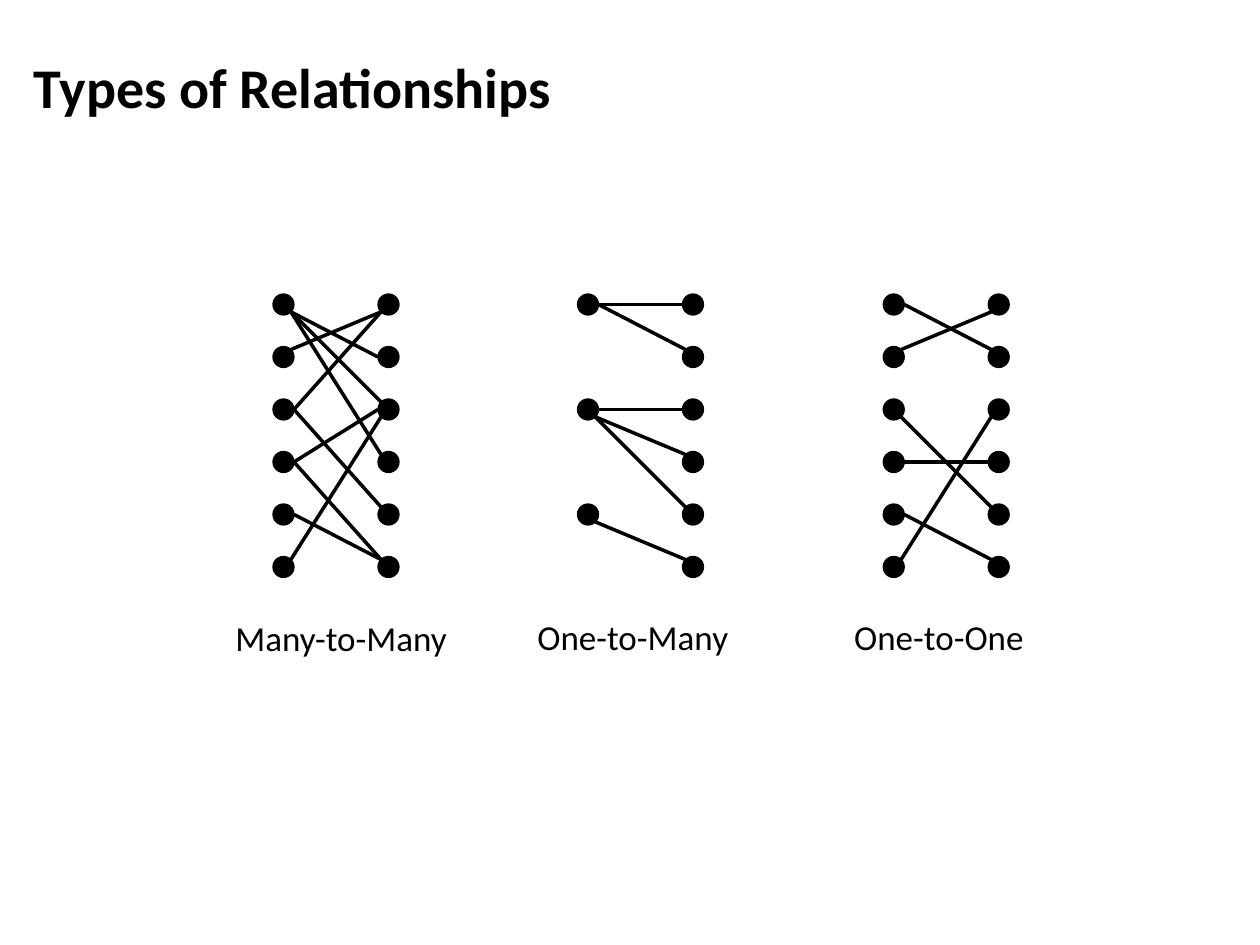
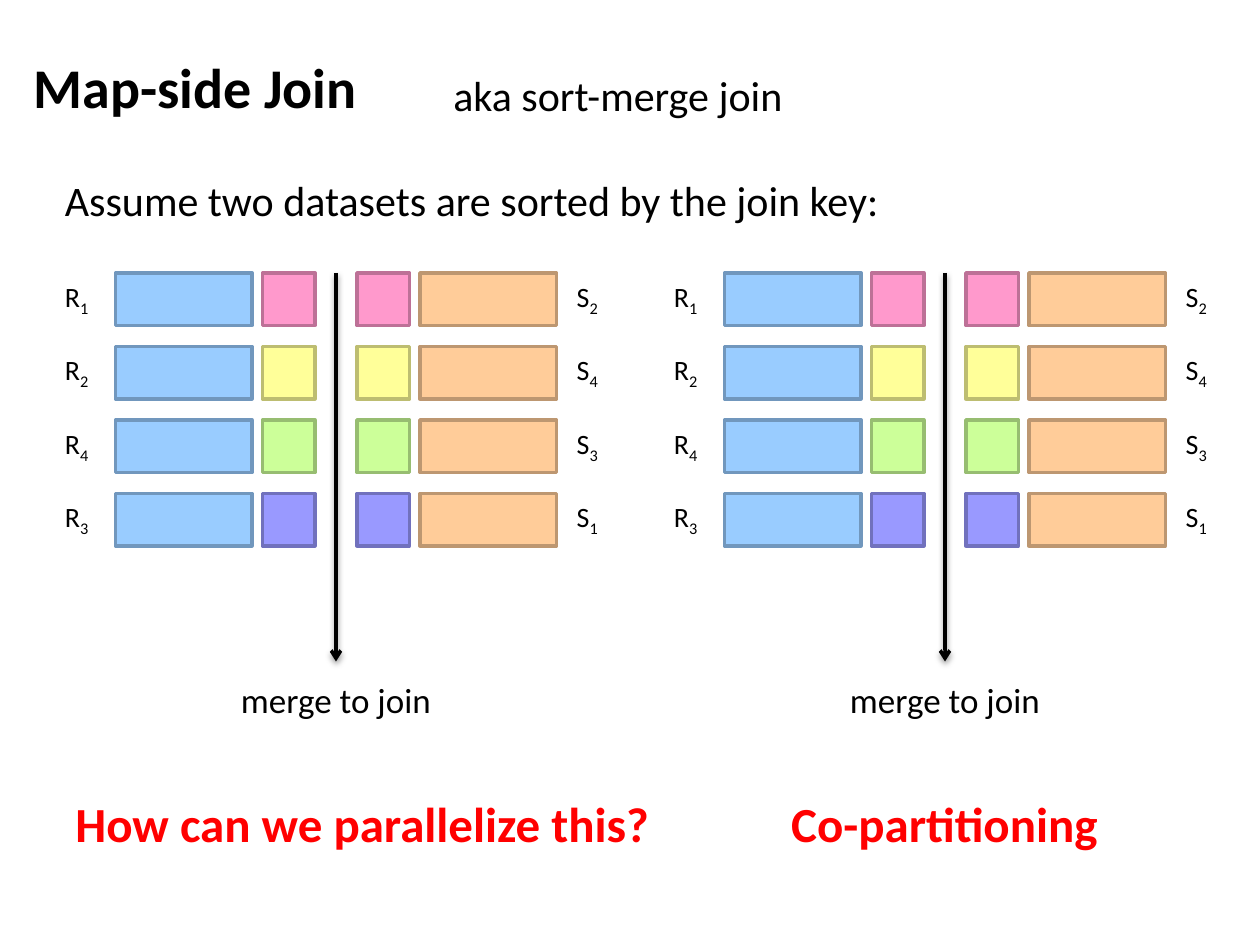
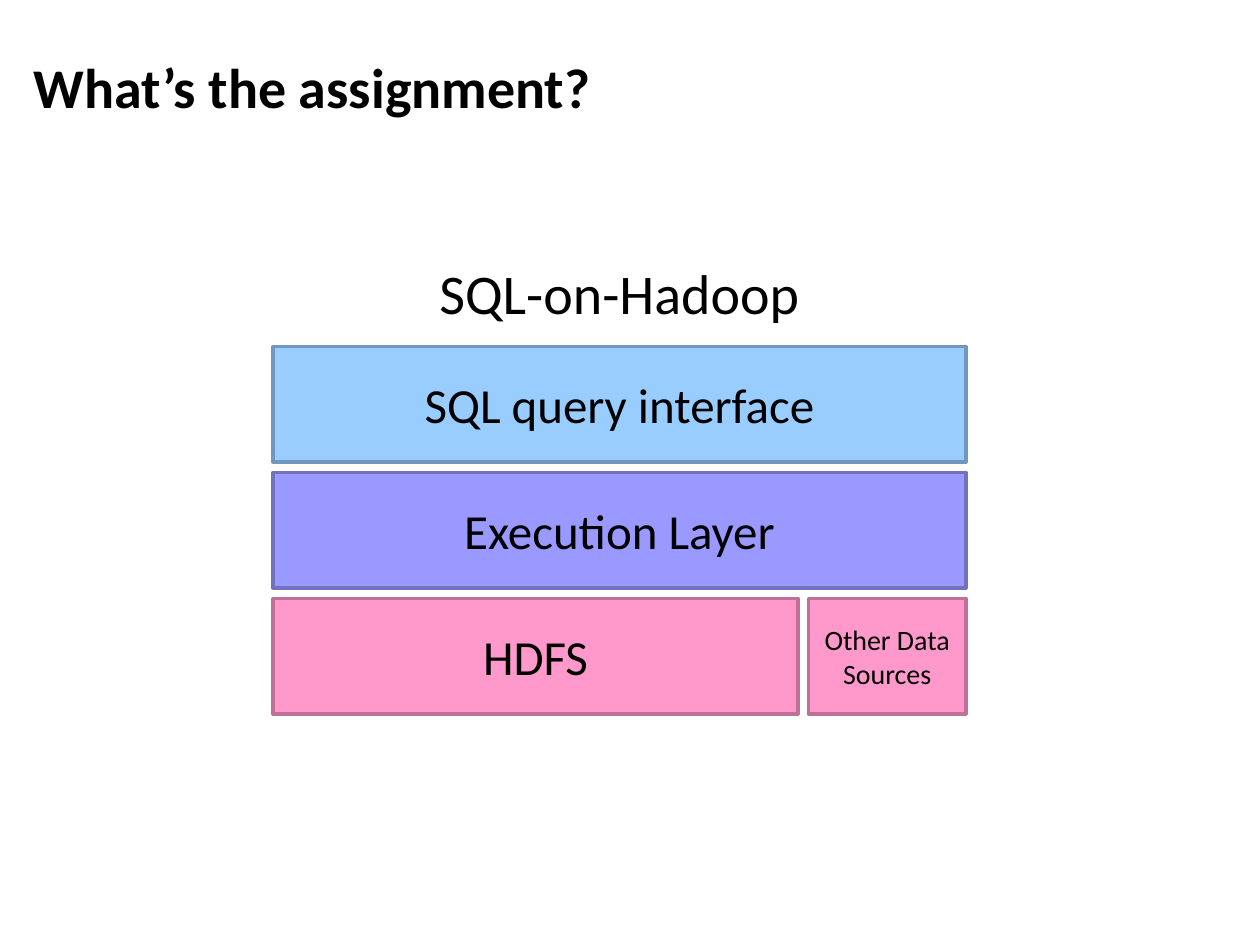
from lxml.etree import SubElement
from pptx import Presentation
from pptx.dml.color import RGBColor
from pptx.enum.shapes import MSO_CONNECTOR as Connector, MSO_SHAPE as Shape
from pptx.enum.text import MSO_ANCHOR as Anchor, MSO_AUTO_SIZE as AutoSize, PP_ALIGN as Align
from pptx.oxml.ns import qn
from pptx.util import Pt

FONT = "Calibri"
COLORS = {
    "black": "000000", "red": "FF0000",
    "blue": "99CCFF", "blue edge": "7197BD",
    "pink": "FF99CC", "pink edge": "BD7197",
    "yellow": "FFFF99", "yellow edge": "BDBD71",
    "green": "CCFF99", "green edge": "97BD71",
    "violet": "9999FF", "violet edge": "7171BD",
    "orange": "FFCC99", "orange edge": "BD9771",
}


def color(name):
    return RGBColor.from_string(COLORS[name])


class Deck:
    """Holds the shared style and the current slide; lengths are in points."""

    def __init__(self):
        self.presentation = Presentation()
        self.presentation.slide_width = Pt(720)
        self.presentation.slide_height = Pt(540)
        self.slide = None

    def new_slide(self, title):
        layout = self.presentation.slide_layouts.get_by_name("Title Only")
        self.slide = self.presentation.slides.add_slide(layout)
        shape = self.slide.shapes.title
        shape.left, shape.top, shape.width, shape.height = Pt(12), Pt(9), Pt(684), Pt(80.5)
        self.fill_text(shape, title, 32, Align.LEFT, bold=True, anchor=Anchor.MIDDLE)

    def fill_text(self, shape, text, size, align, name="black", bold=False, anchor=Anchor.TOP):
        frame = shape.text_frame
        frame.word_wrap = True
        frame.auto_size = AutoSize.NONE
        frame.vertical_anchor = anchor
        paragraph = frame.paragraphs[0]
        paragraph.text = text
        paragraph.alignment = align
        font = paragraph.font
        font.name, font.size, font.bold = FONT, Pt(size), bold
        font.color.rgb = color(name)
        return paragraph

    def text(self, left, top, width, height, text, size, align=Align.LEFT, **style):
        box = self.slide.shapes.add_textbox(Pt(left), Pt(top), Pt(width), Pt(height))
        return self.fill_text(box, text, size, align, **style)

    def subscripted(self, left, top, letter, number):
        paragraph = self.text(left, top, 36, 27, letter, 16)
        run = paragraph.add_run()
        run.text = str(number)
        run._r.get_or_add_rPr().set("baseline", "-25000")

    def shape(self, kind, left, top, width, height, fill, edge, weight):
        shape = self.slide.shapes.add_shape(kind, Pt(left), Pt(top), Pt(width), Pt(height))
        shape.shadow.inherit = False
        shape.fill.solid()
        shape.fill.fore_color.rgb = color(fill)
        shape.line.color.rgb = color(edge)
        shape.line.width = Pt(weight)
        return shape

    def block(self, left, top, width, height, fill, text="", size=28):
        shape = self.shape(Shape.RECTANGLE, left, top, width, height, fill, fill + " edge", 2)
        if text:
            self.fill_text(shape, text, size, Align.CENTER, anchor=Anchor.MIDDLE)

    def dot(self, x, y, radius):
        self.shape(Shape.OVAL, x - radius, y - radius, 2 * radius, 2 * radius,
                   "black", "black", 0.75)

    def line(self, start, end):
        connector = self.slide.shapes.add_connector(
            Connector.STRAIGHT, *(Pt(value) for value in (*start, *end)))
        connector.line.color.rgb = color("black")
        connector.line.width = Pt(2)
        effects = SubElement(connector._element.spPr, qn("a:effectLst"))
        return connector, effects

    def shadowed_arrow(self, start, end):
        connector, effects = self.line(start, end)
        SubElement(connector.get_or_add_ln(), qn("a:tailEnd"), type="arrow")
        shadow = SubElement(effects, qn("a:outerShdw"), blurRad=str(int(Pt(3.1))),
                            dist=str(int(Pt(1.6))), dir="5400000", rotWithShape="0")
        shade = SubElement(shadow, qn("a:srgbClr"), val=COLORS["black"])
        SubElement(shade, qn("a:alpha"), val="38000")


# Relationship diagrams: dots in two columns, joined at points on their rims
RADIUS = 6
DIAGONAL = 4.24
RIM = {"e": (RADIUS, 0), "w": (-RADIUS, 0),
       "ne": (DIAGONAL, -DIAGONAL), "se": (DIAGONAL, DIAGONAL),
       "nw": (-DIAGONAL, -DIAGONAL), "sw": (-DIAGONAL, DIAGONAL)}


def row_y(row):
    return 174 + 30 * row


def rim_point(x, row, side):
    dx, dy = RIM[side]
    return x + dx, row_y(row) + dy


def relationship(deck, left_x, left_rows, links):
    right_x = left_x + 60
    for x, rows in ((left_x, left_rows), (right_x, range(6))):
        for row in rows:
            deck.dot(x, row_y(row), RADIUS)
    for left_row, left_side, right_row, right_side in links:
        deck.line(rim_point(left_x, left_row, left_side),
                  rim_point(right_x, right_row, right_side))


def relationships_slide(deck):
    deck.new_slide("Types of Relationships")
    relationship(deck, 162, range(6), [
        (0, "se", 2, "nw"), (0, "se", 1, "w"), (0, "se", 3, "nw"), (3, "e", 2, "w"),
        (5, "ne", 2, "sw"), (2, "e", 0, "sw"), (2, "e", 4, "nw"), (4, "e", 5, "nw"),
        (3, "e", 5, "nw"), (1, "ne", 0, "sw")])
    relationship(deck, 336, (0, 2, 4), [
        (0, "e", 0, "w"), (0, "e", 1, "nw"), (2, "e", 2, "w"),
        (2, "se", 3, "nw"), (2, "se", 4, "nw"), (4, "se", 5, "nw")])
    relationship(deck, 510.7, range(6), [
        (0, "e", 1, "nw"), (1, "ne", 0, "sw"), (4, "e", 5, "nw"),
        (3, "e", 3, "w"), (2, "se", 4, "nw"), (5, "ne", 2, "sw")])
    deck.text(120, 349, 150, 31, "Many-to-Many", 20, Align.CENTER)
    deck.text(300, 348, 130, 31, "One-to-Many", 20)
    deck.text(481, 348, 118, 31, "One-to-One", 20)


# Join panels: two sorted datasets mirrored about a merge arrow
JOIN_ROWS = [(1, "pink", 2), (2, "yellow", 4), (4, "green", 3), (3, "violet", 1)]


def join_panel(deck, axis):
    for index, (r_number, key, s_number) in enumerate(JOIN_ROWS):
        top = 156 + 42 * index
        deck.subscripted(axis - 162, top, "R", r_number)
        deck.block(axis - 126, top, 78, 30, "blue")
        deck.block(axis - 42, top, 30, 30, key)
        deck.block(axis + 12, top, 30, 30, key)
        deck.block(axis + 48, top, 78, 30, "orange")
        deck.subscripted(axis + 130.5, top, "S", s_number)
    deck.shadowed_arrow((axis, 156), (axis, 378))
    deck.text(axis - 90, 384, 180, 32, "merge to join", 20, Align.CENTER)


def join_slide(deck):
    deck.new_slide("Map-side Join")
    deck.text(252, 36, 330, 36, "aka sort-merge join", 24)
    deck.text(30, 96, 504, 36, "Assume two datasets are sorted by the join key:", 24)
    for axis in (192, 540):
        join_panel(deck, axis)
    deck.text(36, 450, 400, 41, "How can we parallelize this?", 28, name="red", bold=True)
    deck.text(445, 450, 239, 41, "Co-partitioning", 28, name="red", bold=True)


# Layer stack: equal layers, the lowest one split in two
def assignment_slide(deck):
    deck.new_slide("What’s the assignment?")
    left, top, width, height, gap = 156, 198, 396, 66, 6
    deck.text(left, 144, width, 46, "SQL-on-Hadoop", 32, Align.CENTER)
    layers = [
        [("blue", "SQL query interface", width, 28)],
        [("violet", "Execution Layer", width, 28)],
        [("pink", "HDFS", 300, 28), ("pink", "Other Data Sources", 90, 16)],
    ]
    for index, layer in enumerate(layers):
        x = left
        for fill, text, block_width, size in layer:
            deck.block(x, top + index * (height + gap), block_width, height, fill, text, size)
            x += block_width + gap


def main():
    deck = Deck()
    relationships_slide(deck)
    join_slide(deck)
    assignment_slide(deck)
    deck.presentation.save("out.pptx")


if __name__ == "__main__":
    main()
